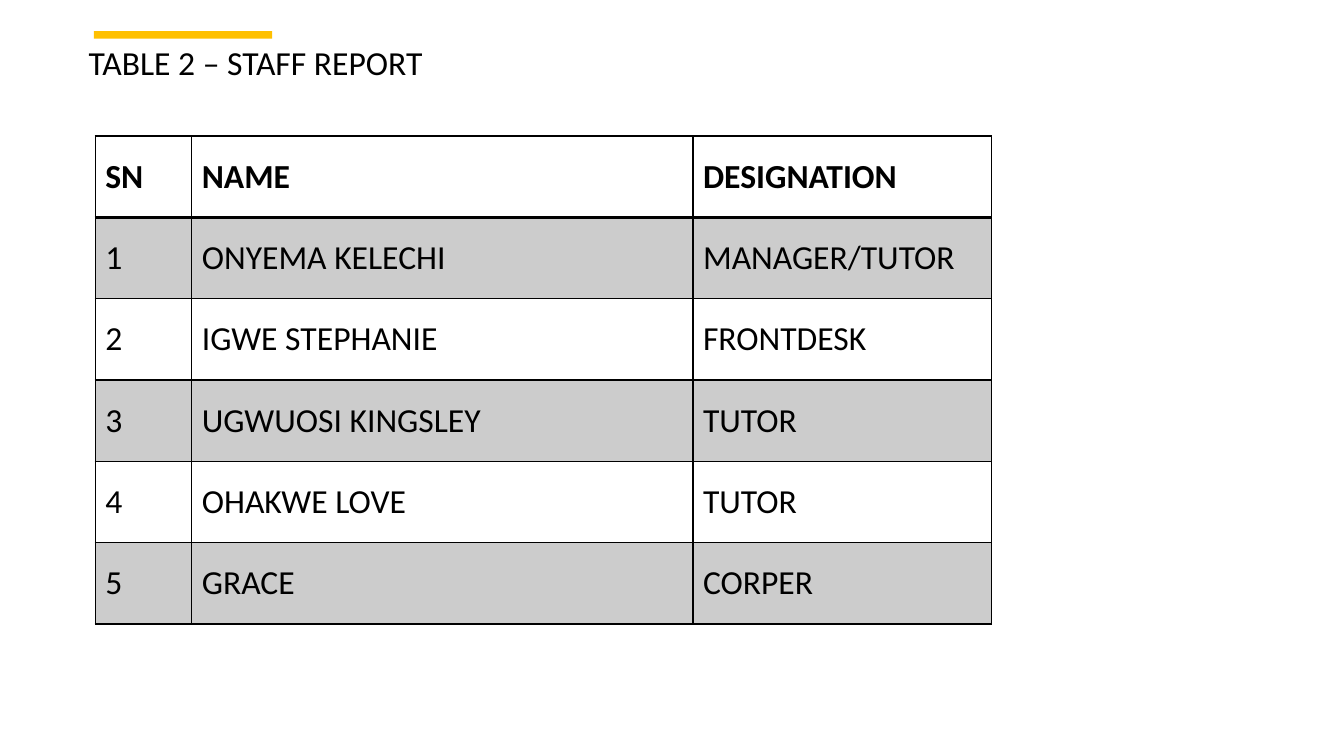
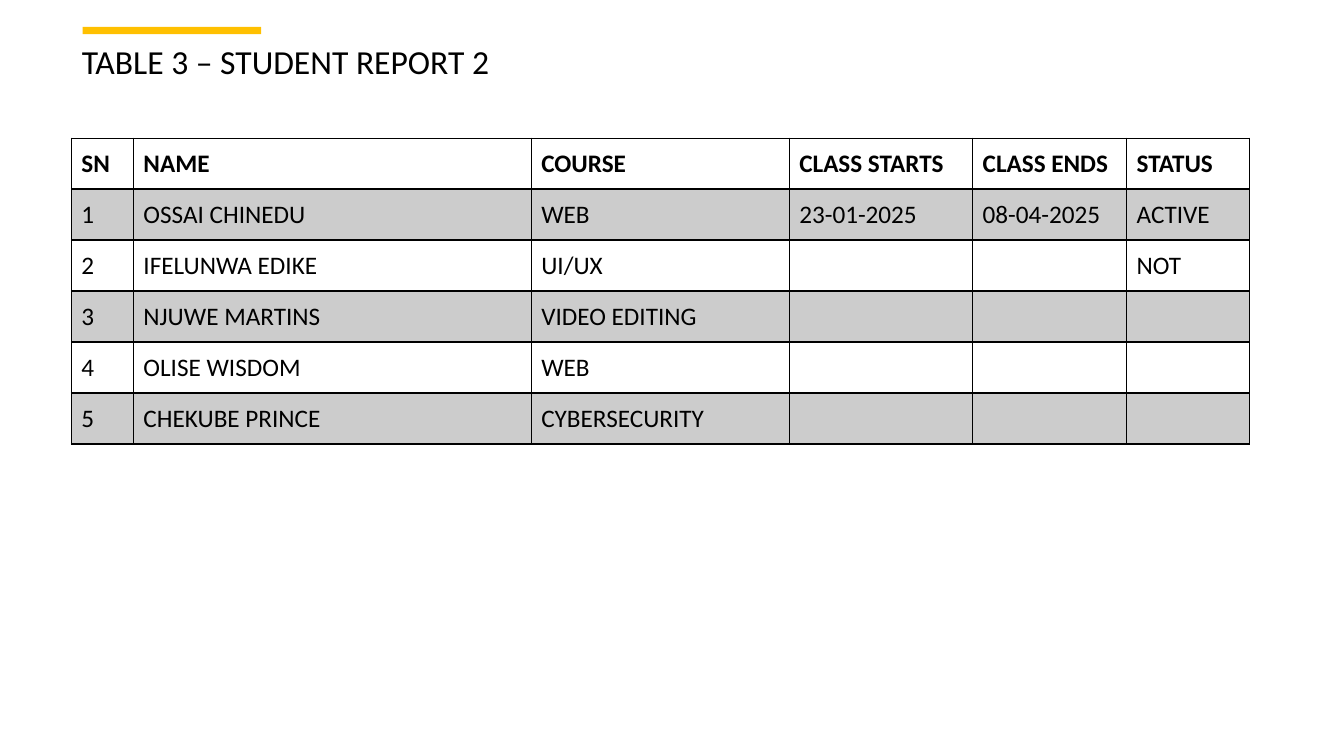
from pptx import Presentation
from pptx.dml.color import RGBColor
from pptx.enum import shapes, text
from pptx.oxml import parse_xml
from pptx.oxml.ns import nsdecls
from pptx.util import Pt

FONT = "Calibri"
BLACK, WHITE, GREY, GOLD = "000000", "FFFFFF", "CCCCCC", "FFC000"
ROW_FILLS = (WHITE, GREY)


def paint(fill, color):
    fill.solid()
    fill.fore_color.rgb = RGBColor.from_string(color)


def style_text(paragraph, size, bold=False):
    for run in paragraph.runs:
        run.font.name = FONT
        run.font.size = Pt(size)
        run.font.bold = bold
        run.font.color.rgb = RGBColor.from_string(BLACK)


# Content: positions are (left, top), lengths in points
reports = [
    {
        "title": "TABLE 2 – STAFF REPORT",
        "title_box": (56.2, 13, 722, 67),
        "bar_at": (67, 22.3),
        "table_at": (68, 97.2),
        "columns": (69, 358, 213),
        "row_height": 58.1,
        "size": 24,
        "padding": 14.4,
        "rows": [
            ("SN", "NAME", "DESIGNATION"),
            ("1", "ONYEMA KELECHI", "MANAGER/TUTOR"),
            ("2", "IGWE STEPHANIE", "FRONTDESK"),
            ("3", "UGWUOSI KINGSLEY", "TUTOR"),
            ("4", "OHAKWE LOVE", "TUTOR"),
            ("5", "GRACE", "CORPER"),
        ],
    },
    {
        "title": "TABLE 3 – STUDENT REPORT 2",
        "title_box": (51.3, 13.7, 722, 63.4),
        "bar_at": (59, 19.2),
        "table_at": (51, 98.7),
        "columns": (44.3, 284.2, 184.3, 131, 110, 88),
        "row_height": 36.4,
        "size": 18,
        "padding": 7.2,
        "rows": [
            ("SN", "NAME", "COURSE", "CLASS STARTS", "CLASS ENDS", "STATUS"),
            ("1", "OSSAI CHINEDU", "WEB", "23-01-2025", "08-04-2025", "ACTIVE"),
            ("2", "IFELUNWA EDIKE", "UI/UX", "", "", "NOT"),
            ("3", "NJUWE MARTINS", "VIDEO EDITING", "", "", ""),
            ("4", "OLISE WISDOM", "WEB", "", "", ""),
            ("5", "CHEKUBE PRINCE", "CYBERSECURITY", "", "", ""),
        ],
    },
]

presentation = Presentation()
presentation.slide_width = Pt(960)
presentation.slide_height = Pt(540)

for report in reports:
    slide = presentation.slides.add_slide(presentation.slide_layouts[6])
    paint(slide.background.fill, WHITE)

    # Title
    title = slide.shapes.add_textbox(*map(Pt, report["title_box"]))
    title.text_frame.word_wrap = True
    title.text_frame.vertical_anchor = text.MSO_ANCHOR.MIDDLE
    title.text_frame.text = report["title"]
    paragraph = title.text_frame.paragraphs[0]
    paragraph.line_spacing = 0.9
    style_text(paragraph, 24)

    # Table
    rows, columns = report["rows"], report["columns"]
    left, top = report["table_at"]
    table = slide.shapes.add_table(
        len(rows), len(columns), Pt(left), Pt(top),
        Pt(sum(columns)), Pt(report["row_height"] * len(rows))).table
    for column, width in zip(table.columns, columns):
        column.width = Pt(width)

    for row_index, values in enumerate(rows):
        table.rows[row_index].height = Pt(report["row_height"])
        for column_index, value in enumerate(values):
            cell = table.cell(row_index, column_index)
            cell.text = value
            cell.margin_top = cell.margin_bottom = Pt(report["padding"])
            style_text(cell.text_frame.paragraphs[0], report["size"],
                       bold=row_index == 0)

            # Borders come before the fill; the header is closed by a thicker rule
            properties = cell._tc.get_or_add_tcPr()
            for side in ("L", "R", "T", "B"):
                header_rule = (row_index, side) in ((0, "B"), (1, "T"))
                properties.append(parse_xml(
                    f'<a:ln{side} {nsdecls("a")} w="{Pt(2 if header_rule else 1)}">'
                    f'<a:solidFill><a:srgbClr val="{BLACK}"/></a:solidFill>'
                    f'</a:ln{side}>'))
            paint(cell.fill, ROW_FILLS[row_index % 2])

    # Accent bar above the title
    left, top = report["bar_at"]
    bar = slide.shapes.add_shape(
        shapes.MSO_SHAPE.RECTANGLE, Pt(left), Pt(top), Pt(127.5), Pt(5.3))
    bar.shadow.inherit = False
    paint(bar.fill, GOLD)
    bar.line.fill.background()

presentation.save("out.pptx")
